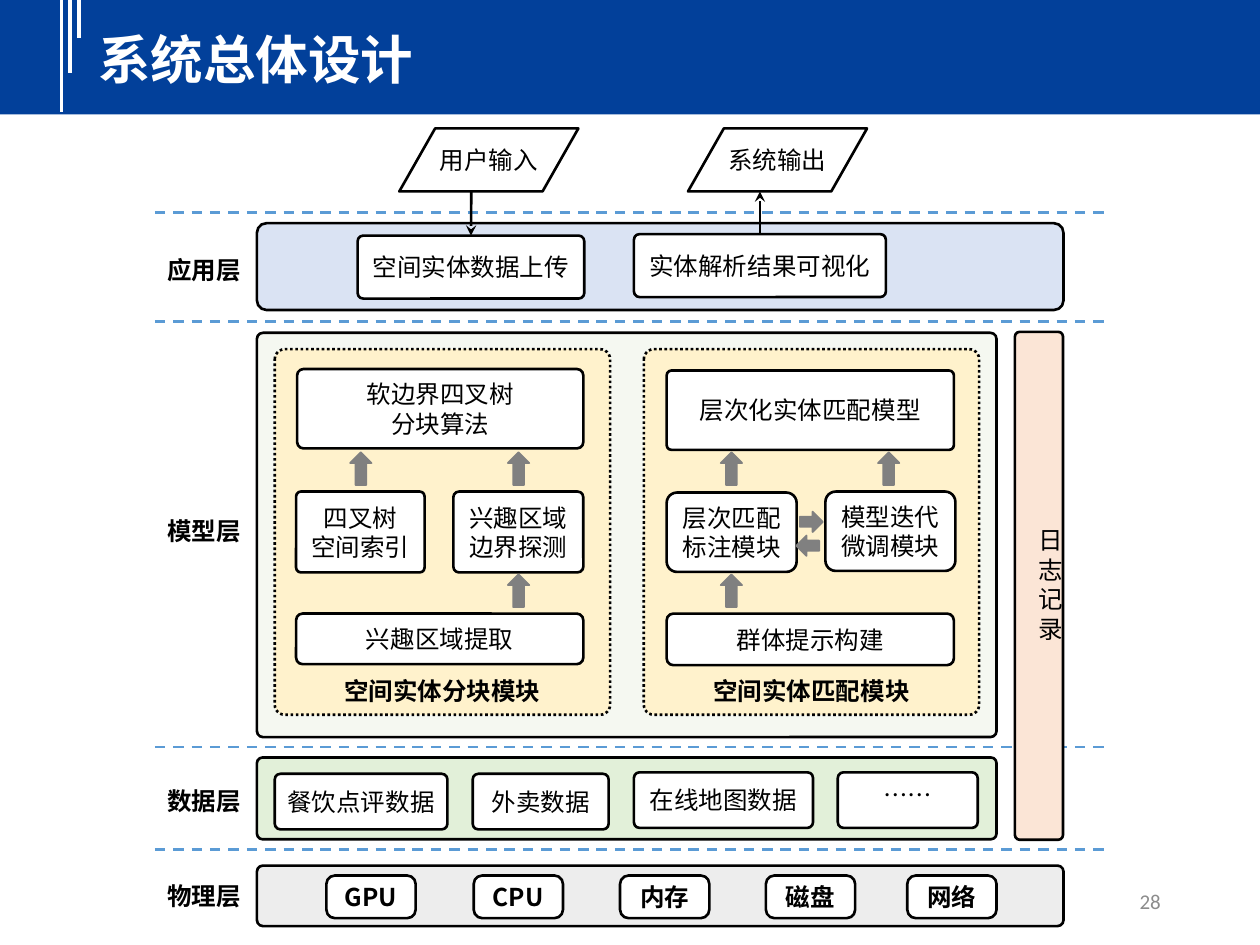
from lxml.etree import SubElement
from pptx import Presentation
from pptx.dml.color import RGBColor
from pptx.enum.dml import MSO_LINE
from pptx.enum.shapes import MSO_CONNECTOR, MSO_SHAPE
from pptx.enum.text import MSO_ANCHOR, PP_ALIGN
from pptx.oxml.ns import qn
from pptx.util import Cm, Pt

BLACK = RGBColor(0x00, 0x00, 0x00)
WHITE = RGBColor(0xFF, 0xFF, 0xFF)
BAND_BLUE = RGBColor(0x02, 0x40, 0x9A)
DASH_BLUE = RGBColor(0x5B, 0x9B, 0xD5)
MODEL_FILL = RGBColor(0xF5, 0xF8, 0xF1)
APPLICATION_FILL = RGBColor(0xDA, 0xE3, 0xF3)
DATA_FILL = RGBColor(0xE2, 0xF0, 0xD9)
PHYSICAL_FILL = RGBColor(0xED, 0xED, 0xED)
LOG_FILL = RGBColor(0xFB, 0xE5, 0xD6)
MODULE_FILL = RGBColor(0xFF, 0xF2, 0xCC)
ARROW_GRAY = RGBColor(0x80, 0x80, 0x80)
NUMBER_GRAY = RGBColor(0x8C, 0x8C, 0x8C)
FONT = "Noto Sans CJK SC"


def write(shape, text, size=14, bold=False, color=BLACK, font=FONT, align=PP_ALIGN.CENTER,
          anchor=MSO_ANCHOR.MIDDLE, inset=0.15, wrap=True):
    """Put formatted text into a shape."""
    frame = shape.text_frame
    frame.word_wrap = wrap
    frame.vertical_anchor = anchor
    frame.margin_left = frame.margin_right = Cm(inset)
    frame.margin_top = frame.margin_bottom = Cm(0.13)
    frame.text = text
    for paragraph in frame.paragraphs:
        paragraph.alignment = align
        for run in paragraph.runs:
            run.font.size = Pt(size)
            run.font.bold = bold
            run.font.color.rgb = color
            run.font.name = font
            SubElement(run._r.get_or_add_rPr(), qn("a:ea"), typeface=font)


class ArchitectureSlide:
    """Hold the current slide and draw its elements in one style, in centimetres."""

    def __init__(self, slide):
        self.slide = slide
        self.shapes = slide.shapes

    def title(self, text, *bounds):
        title = self.shapes.title
        title.left, title.top, title.width, title.height = map(Cm, bounds)
        write(title, text, size=30, bold=True, color=WHITE, align=PP_ALIGN.LEFT, inset=0.25)
        self.shapes._spTree.append(title._element)

    def shape(self, kind, *bounds, fill=None, line=BLACK, weight=1.5):
        shape = self.shapes.add_shape(kind, *map(Cm, bounds))
        shape.shadow.inherit = False
        if fill is None:
            shape.fill.background()
        else:
            shape.fill.solid()
            shape.fill.fore_color.rgb = fill
        if line is None:
            shape.line.fill.background()
        else:
            shape.line.color.rgb = line
            shape.line.width = Pt(weight)
        return shape

    def box(self, *bounds, corner=0.1, fill=WHITE, text=None, **text_format):
        shape = self.shape(MSO_SHAPE.ROUNDED_RECTANGLE, *bounds, fill=fill)
        shape.adjustments[0] = corner
        if text:
            write(shape, text, **text_format)
        return shape

    def label(self, text, *bounds, **text_format):
        write(self.shapes.add_textbox(*map(Cm, bounds)), text, inset=0.25, **text_format)

    def line(self, *ends, color=BLACK, weight=1.5, dash=None, arrow=False):
        connector = self.shapes.add_connector(MSO_CONNECTOR.STRAIGHT, *map(Cm, ends))
        connector.line.color.rgb = color
        connector.line.width = Pt(weight)
        if dash:
            connector.line.dash_style = dash
        if arrow:
            SubElement(connector.line._get_or_add_ln(), qn("a:tailEnd"), type="stealth")
        SubElement(connector._element.spPr, qn("a:effectLst"))
        return connector

    def block_arrow(self, left, top, width=0.43, height=0.66, rotation=0):
        arrow = self.shape(MSO_SHAPE.UP_ARROW, left, top, width, height,
                           fill=ARROW_GRAY, line=ARROW_GRAY, weight=1)
        arrow.rotation = rotation


def draw_header(page):
    """Draw the title band with its three white strokes."""
    page.shape(MSO_SHAPE.RECTANGLE, 0, -0.08, 25.4, 2.39, fill=BAND_BLUE, line=None)
    for x, bottom in ((1.24, 2.26), (1.42, 1.47), (1.6, 0.76)):
        page.line(x, -0.08, x, bottom, color=WHITE, weight=2.25)
    page.title("系统总体设计", 1.73, 0.41, 23.16, 1.52)


def draw_layers(page):
    """Draw the four layer panels, their names, the separators and the log bar."""
    for name, label_top, top, width, height, corner, fill in (
        ("应用层", 5.0, 4.5, 16.26, 1.75, 0.11, APPLICATION_FILL),
        ("模型层", 10.26, 6.71, 14.91, 8.15, 0.015, MODEL_FILL),
        ("数据层", 15.72, 15.27, 14.91, 1.65, 0.07, DATA_FILL),
        ("物理层", 17.63, 17.45, 16.26, 1.22, 0.1, PHYSICAL_FILL),
    ):
        page.box(5.18, top, width, height, corner=corner, fill=fill)
        page.label(name, 3.12, label_top, 2.1, 0.86, bold=True, align=PP_ALIGN.LEFT)
    for y in (4.29, 6.48, 15.06, 17.12):
        page.line(3.12, y, 22.28, y, color=DASH_BLUE, dash=MSO_LINE.DASH)
    page.box(20.46, 6.69, 0.97, 10.24, fill=LOG_FILL)
    page.label("日志记录", 20.68, 10.46, 0.53, 2.64, anchor=MSO_ANCHOR.TOP)


def draw_application(page):
    """Draw user input and system output with the boxes they join."""
    for text, left in (("用户输入", 8.05), ("系统输出", 13.87)):
        parallelogram = page.shape(MSO_SHAPE.FLOWCHART_DATA, left, 2.59, 3.61, 1.27)
        write(parallelogram, text, wrap=False)
    upload = page.box(7.21, 4.75, 4.57, 1.27, corner=0.09, text="空间实体数据上传")
    result = page.box(12.78, 4.72, 5.08, 1.27, corner=0.09, text="实体解析结果可视化")
    page.line(9.5, 3.86, 9.5, 4.75, arrow=True).end_connect(upload, 0)
    page.line(15.32, 4.72, 15.32, 3.86, arrow=True).begin_connect(result, 0)


def draw_model(page):
    """Draw the two modules, their boxes and the block arrows."""
    for text, left in (("空间实体分块模块", 5.54), ("空间实体匹配模块", 12.98)):
        module = page.box(left, 7.04, 6.76, 7.37, corner=0.03, fill=MODULE_FILL,
                          text=text, bold=True, anchor=MSO_ANCHOR.BOTTOM)
        module.line.dash_style = MSO_LINE.ROUND_DOT
    for text, left, top, width, height, corner in (
        ("软边界四叉树\n分块算法", 5.99, 7.44, 5.77, 1.6, 0.08),
        ("四叉树\v空间索引", 5.97, 9.91, 2.59, 1.63, 0.06),
        ("兴趣区域\v边界探测", 9.14, 9.91, 2.62, 1.63, 0.07),
        ("兴趣区域提取", 5.97, 12.37, 5.79, 1.02, 0.13),
        ("层次化实体匹配模型", 13.44, 7.47, 5.79, 1.6, 0.06),
        ("层次匹配标注模块", 13.44, 9.93, 2.62, 1.6, 0.13),
        ("模型迭代微调模块", 16.64, 9.91, 2.62, 1.6, 0.13),
        ("群体提示构建", 13.44, 12.37, 5.79, 1.04, 0.13),
    ):
        page.box(left, top, width, height, corner=corner, text=text)
    for left in (7.06, 10.24, 14.53, 17.7):
        page.block_arrow(left, 9.12)
    for left in (10.24, 14.53):
        page.block_arrow(left, 11.58)
    page.block_arrow(16.15, 10.29, 0.41, 0.46, rotation=90)
    page.block_arrow(16.08, 10.77, 0.41, 0.46, rotation=270)


def draw_resources(page):
    """Draw the data sources and the hardware."""
    for text, left, top, width, anchor in (
        ("餐饮点评数据", 5.54, 15.6, 3.48, MSO_ANCHOR.MIDDLE),
        ("外卖数据", 9.53, 15.6, 2.74, MSO_ANCHOR.MIDDLE),
        ("在线地图数据", 12.78, 15.57, 3.61, MSO_ANCHOR.MIDDLE),
        ("……", 16.89, 15.57, 2.82, MSO_ANCHOR.TOP),
    ):
        page.box(left, top, width, 1.12, text=text, anchor=anchor)
    for text, left in (("GPU", 6.58), ("CPU", 9.55), ("内存", 12.5), ("磁盘", 15.44), ("网络", 18.29)):
        page.box(left, 17.65, 1.8, 0.86, corner=0.2, text=text, bold=True)


def main():
    """Build and save the presentation."""
    presentation = Presentation()
    presentation.slide_width, presentation.slide_height = Cm(25.4), Cm(19.05)
    page = ArchitectureSlide(presentation.slides.add_slide(presentation.slide_layouts[5]))
    draw_header(page)
    draw_layers(page)
    draw_application(page)
    draw_model(page)
    draw_resources(page)
    page.label("28", 17.93, 17.65, 5.72, 1.02, size=12, color=NUMBER_GRAY,
               font="Calibri", align=PP_ALIGN.RIGHT)
    presentation.save("out.pptx")


if __name__ == "__main__":
    main()
